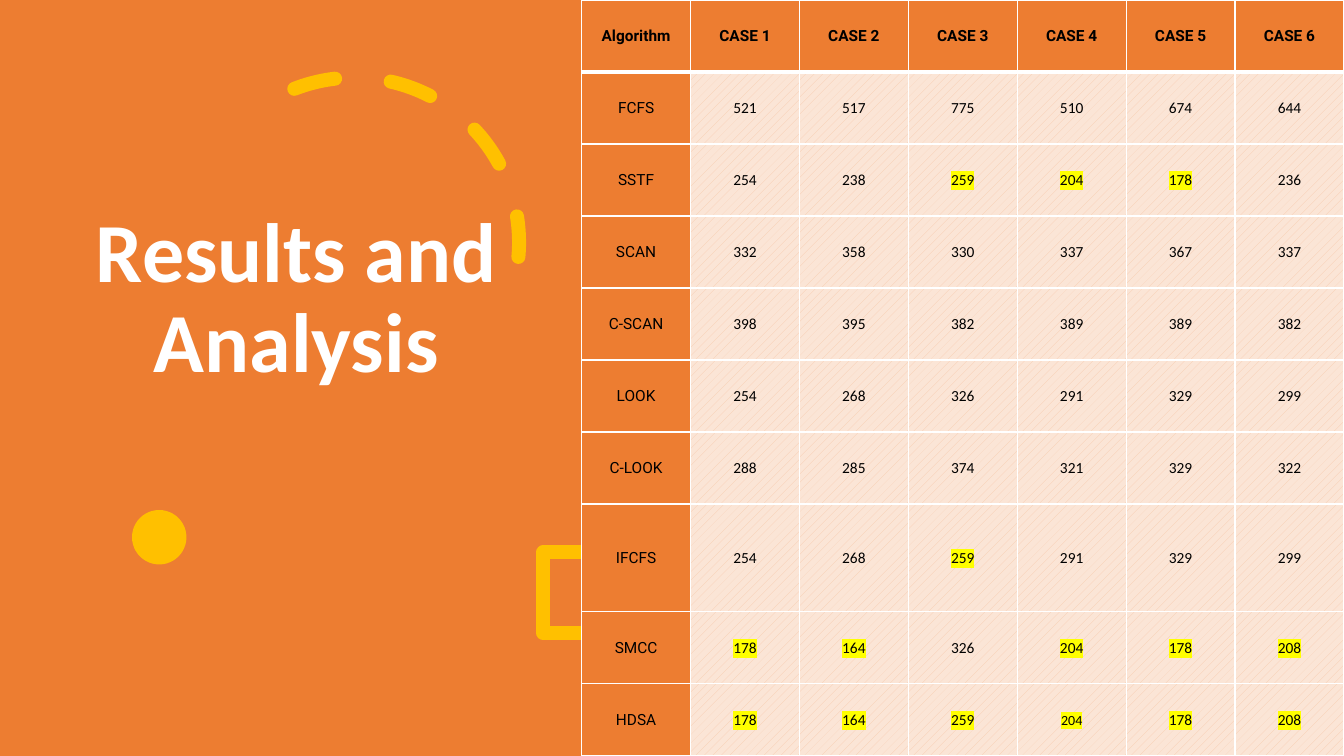
from lxml import etree
from pptx import Presentation
from pptx.dml.color import RGBColor
from pptx.enum.dml import MSO_LINE, MSO_PATTERN
from pptx.enum.shapes import MSO_SHAPE
from pptx.enum.text import MSO_ANCHOR, PP_ALIGN
from pptx.oxml.ns import qn
from pptx.util import Pt

RECT, ARC, OVAL = MSO_SHAPE.RECTANGLE, MSO_SHAPE.ARC, MSO_SHAPE.OVAL
MIDDLE, BOTTOM = MSO_ANCHOR.MIDDLE, MSO_ANCHOR.BOTTOM
CENTER = PP_ALIGN.CENTER
DASH = MSO_LINE.DASH
DOTTED_FILL = MSO_PATTERN.PERCENT_20

TITLE = "Results and Analysis"
HEADINGS = ["Algorithm", "CASE 1", "CASE 2", "CASE 3", "CASE 4", "CASE 5", "CASE 6"]
RESULTS = [
    ("FCFS", 521, 517, 775, 510, 674, 644),
    ("SSTF", 254, 238, 259, 204, 178, 236),
    ("SCAN", 332, 358, 330, 337, 367, 337),
    ("C-SCAN", 398, 395, 382, 389, 389, 382),
    ("LOOK", 254, 268, 326, 291, 329, 299),
    ("C-LOOK", 288, 285, 374, 321, 329, 322),
    ("IFCFS", 254, 268, 259, 291, 329, 299),
    ("SMCC", 178, 164, 326, 204, 178, 208),
    ("HDSA", 178, 164, 259, 204, 178, 208),
]
TALL_ALGORITHM = "IFCFS"
SMALL_RESULT = ("HDSA", "CASE 4")

THEME = {
    "orange": "ED7D31", "gold": "FFC000", "white": "FFFFFF", "black": "000000",
    "dots": "F8CBAD", "peach": "FBE5D6", "best": "FFFF00",
    "label_font": "Roboto", "number_font": "Calibri",
    "title_size": 60, "cell_size": 11, "small_size": 10,
}
SLIDE_W, SLIDE_H = 960, 540
PANEL_W = 415.5
TALL_RATIO = 1.5
GOLD_LINE = 10
THIN, THICK = 1, 3


def color(name):
    return RGBColor.from_string(THEME[name])


def write(frame, text, font, size, ink="black", bold=False, spacing=1.0, after=0, highlight=None):
    paragraph = frame.paragraphs[0]
    paragraph.alignment = CENTER
    paragraph.line_spacing = spacing
    paragraph.space_after = Pt(after)
    run = paragraph.add_run()
    run.text = text
    run.font.name = THEME[font]
    run.font.size = Pt(THEME[size])
    run.font.bold = bold
    run.font.color.rgb = color(ink)
    if highlight:
        mark = etree.Element(qn("a:highlight"))
        etree.SubElement(mark, qn("a:srgbClr"), val=THEME[highlight])
        run.font._element.find(qn("a:solidFill")).addnext(mark)


def decorate(slide, kind, left, top, width, height, fill=None, line=None):
    shape = slide.shapes.add_shape(kind, Pt(left), Pt(top), Pt(width), Pt(height))
    shape.shadow.inherit = False
    if fill:
        shape.fill.solid()
        shape.fill.fore_color.rgb = color(fill)
    else:
        shape.fill.background()
    if line:
        shape.line.color.rgb = color(line)
        shape.line.width = Pt(GOLD_LINE)
        outline = shape.line._get_or_add_ln()
        outline.set("cap", "rnd")
        etree.SubElement(outline, qn("a:round"))
    else:
        shape.line.fill.background()
    return shape


def style_cell(cell, top, bottom, header):
    cell.vertical_anchor = MIDDLE
    cell.margin_left = cell.margin_right = Pt(5)
    cell.margin_top = cell.margin_bottom = 0
    properties = cell._tc.get_or_add_tcPr()
    for side, width in (("L", THIN), ("R", THIN), ("T", top), ("B", bottom)):
        border = etree.SubElement(properties, qn(f"a:ln{side}"), w=str(Pt(width)))
        paint = etree.SubElement(border, qn("a:solidFill"))
        etree.SubElement(paint, qn("a:srgbClr"), val=THEME["white"])
    if header:
        cell.fill.solid()
        cell.fill.fore_color.rgb = color("orange")
    else:
        cell.fill.patterned()
        cell.fill.pattern = DOTTED_FILL
        cell.fill.fore_color.rgb = color("dots")
        cell.fill.back_color.rgb = color("peach")


def add_results(slide):
    rows = [HEADINGS] + RESULTS
    best = [min(column) for column in list(zip(*RESULTS))[1:]]
    table = slide.shapes.add_table(len(rows), len(HEADINGS), Pt(PANEL_W), 0,
                                   Pt(SLIDE_W - PANEL_W), Pt(SLIDE_H)).table
    row_height = SLIDE_H / (len(rows) - 1 + TALL_RATIO)
    for column in table.columns:
        column.width = Pt((SLIDE_W - PANEL_W) / len(HEADINGS))
    for r, values in enumerate(rows):
        ratio = TALL_RATIO if values[0] == TALL_ALGORITHM else 1
        table.rows[r].height = Pt(row_height * ratio)
        for c, value in enumerate(values):
            label = r == 0 or c == 0
            small = (values[0], HEADINGS[c]) == SMALL_RESULT
            cell = table.cell(r, c)
            style_cell(cell, THICK if r == 1 else THIN, THICK if r == 0 else THIN, label)
            write(cell.text_frame, str(value),
                  font="label_font" if label else "number_font",
                  size="small_size" if small else "cell_size",
                  bold=r == 0, spacing=1.06, after=0 if small else 8,
                  highlight="best" if not label and value == best[c - 1] else None)


def main():
    deck = Presentation()
    deck.slide_width, deck.slide_height = Pt(SLIDE_W), Pt(SLIDE_H)
    slide = deck.slides.add_slide(deck.slide_layouts[6])

    decorate(slide, RECT, 0, 0, PANEL_W, SLIDE_H, fill="orange")
    swirl = decorate(slide, ARC, 135.4, 55.4, 235.4, 235.4, line="gold")
    swirl.adjustments[0], swirl.adjustments[1] = 146.13, 0
    swirl.rotation = 5.1
    swirl.line.dash_style = DASH

    title = slide.shapes.add_textbox(Pt(50.4), Pt(62.6), Pt(322.6), Pt(220.3)).text_frame
    title.word_wrap = True
    title.vertical_anchor = BOTTOM
    write(title, TITLE, font="number_font", size="title_size", ink="white", bold=True, spacing=0.9)

    decorate(slide, OVAL, 94.3, 364.3, 38.9, 38.9, fill="gold")
    decorate(slide, RECT, 388.1, 394.6, 57.6, 57.6, line="gold")
    add_results(slide)
    deck.save("out.pptx")


if __name__ == "__main__":
    main()
